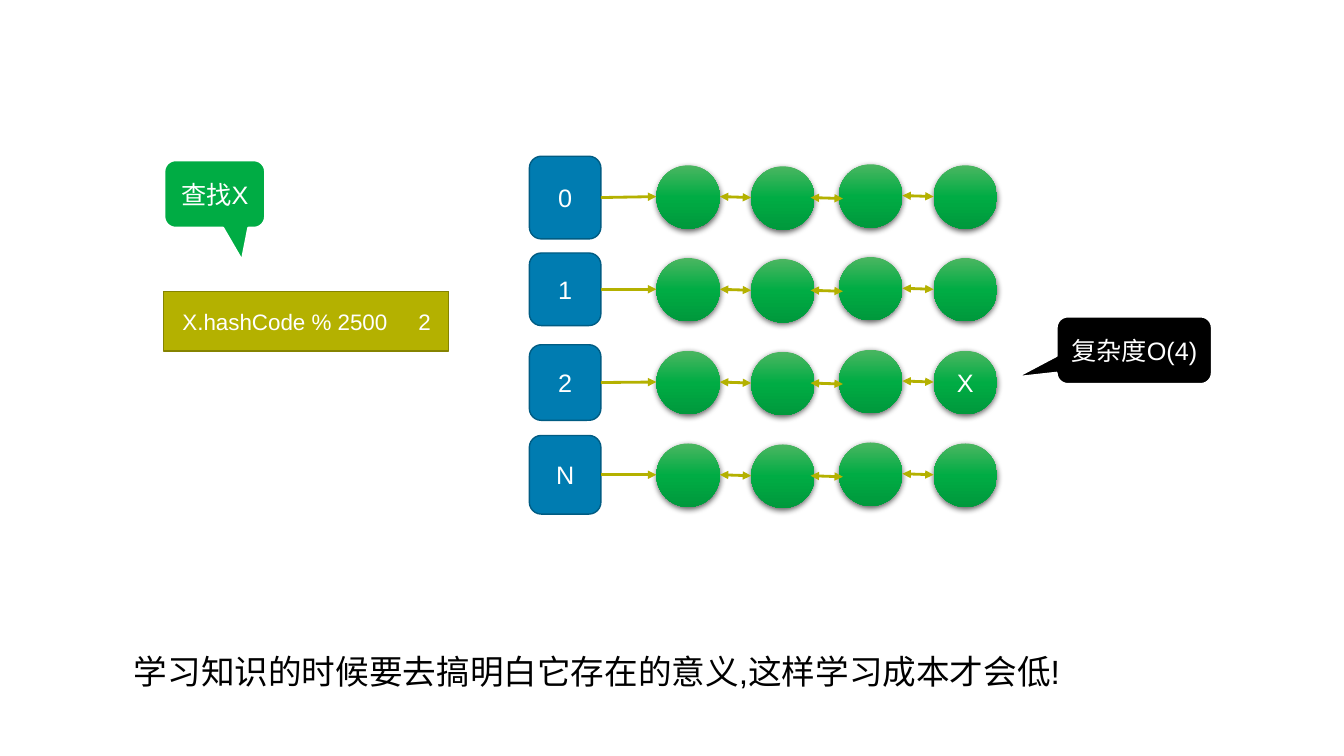
from lxml.etree import SubElement
from pptx import Presentation
from pptx.dml.color import RGBColor
from pptx.enum.shapes import MSO_CONNECTOR, MSO_SHAPE
from pptx.enum.text import MSO_ANCHOR, PP_ALIGN
from pptx.oxml.ns import qn
from pptx.util import Pt

SCALE = 9144
COLORS = {
    "blue": "007CB1", "blue_edge": "005C83", "olive": "B4B100", "olive_edge": "858300",
    "green": "00AC44", "green_top": "4BB661", "green_bottom": "00993C",
    "white": "FFFFFF", "black": "000000",
}
ROW_PITCH = 92
CIRCLE = 63
NODE_OFFSETS = [(0, 0), (94, 1), (181, -1), (275, 0)]
BUCKETS = [("0", 155, 82), ("1", 251, 72), ("2", 342, 75), ("N", 432, 78)]


def px(*lengths):
    """Turn px lengths into EMU."""
    return [round(length * SCALE) for length in lengths]


def color(name):
    """Look up a named colour."""
    return RGBColor.from_string(COLORS[name])


def write(shape, text, size=18, ink="white", align=PP_ALIGN.CENTER, spacing=None):
    """Put one formatted paragraph into a shape."""
    para = shape.text_frame.paragraphs[0]
    para.alignment = align
    para.line_spacing = spacing
    span = para.add_run()
    span.text = text
    span.font.size = Pt(size)
    span.font.name = "Arial"
    span.font.color.rgb = color(ink)
    return para


def add_block(page, kind, box, fill, edge, weight=1):
    """Add a flat outlined shape with middle-anchored text."""
    shape = page.shapes.add_shape(kind, *px(*box))
    shape.shadow.inherit = False
    shape.fill.solid()
    shape.fill.fore_color.rgb = color(fill)
    shape.line.color.rgb = color(edge)
    shape.line.width = Pt(weight)
    shape.text_frame.vertical_anchor = MSO_ANCHOR.MIDDLE
    return shape


def add_arrow(page, start, end, ends=("headEnd", "tailEnd")):
    """Add an olive connector with triangles at the given ends."""
    arrow = page.shapes.add_connector(MSO_CONNECTOR.STRAIGHT, *px(*start, *end))
    arrow.line.color.rgb = color("olive")
    arrow.line.width = Pt(2)
    properties = arrow._element.spPr
    for name in ends:
        SubElement(properties.find(qn("a:ln")), qn(f"a:{name}"), type="triangle")
    SubElement(properties, qn("a:effectLst"))
    return arrow


def add_node(page, left, top):
    """Add a shaded green list node with a soft shadow."""
    node = page.shapes.add_shape(MSO_SHAPE.OVAL, *px(left, top, CIRCLE, CIRCLE))
    node.line.fill.background()
    node.fill.gradient()
    node.fill.gradient_angle = 270
    properties = node._element.spPr
    stops = properties.find(qn("a:gradFill")).find(qn("a:gsLst"))
    for stop in list(stops):
        stops.remove(stop)
    for place, name in enumerate(("green_top", "green", "green_bottom")):
        stop = SubElement(stops, qn("a:gs"), pos=str(place * 50000))
        SubElement(stop, qn("a:srgbClr"), val=COLORS[name])
    effects = SubElement(properties, qn("a:effectLst"))
    shadow = SubElement(effects, qn("a:outerShdw"), blurRad=str(Pt(4.5)),
                        dist=str(Pt(1.5)), dir="5400000", rotWithShape="0")
    shade = SubElement(shadow, qn("a:srgbClr"), val=COLORS["black"])
    SubElement(shade, qn("a:alpha"), val="63000")
    node.text_frame.vertical_anchor = MSO_ANCHOR.MIDDLE
    return node


def add_chain(page, left, top):
    """Add four linked nodes and return the last one."""
    nodes = [add_node(page, left + across, top + down) for across, down in NODE_OFFSETS]
    middle = top + CIRCLE // 2
    for first, second in ((0, 1), (2, 3)):
        (start, rise), (end, fall) = NODE_OFFSETS[first], NODE_OFFSETS[second]
        add_arrow(page, (left + start + CIRCLE, middle + rise), (left + end, middle + fall))
    add_arrow(page, (left + 153, middle + 1), (left + 185, middle + 2))
    return nodes[-1]


def add_hash_table(page, left, top):
    """Add the buckets, each leading to its chain of nodes."""
    chain_left = left + 126
    for row, (label, bucket_top, height) in enumerate(BUCKETS):
        chain_top = top + 9 + row * ROW_PITCH
        last = add_chain(page, chain_left, chain_top)
        if label == "2":
            write(last, "X")
        bucket = add_block(page, MSO_SHAPE.FLOWCHART_ALTERNATE_PROCESS,
                           (left, bucket_top, 71, height), "blue", "blue_edge")
        write(bucket, label)
        middle = chain_top + CIRCLE // 2
        arrow = add_arrow(page, (left + 71, middle), (chain_left, middle), ("tailEnd",))
        arrow.begin_connect(bucket, 3)


def add_callout(page, box, text, fill, tip):
    """Add a rounded callout whose tip is given relative to its box."""
    callout = add_block(page, MSO_SHAPE.ROUNDED_RECTANGULAR_CALLOUT, box, fill, "white", 1.5)
    callout.adjustments[0], callout.adjustments[1] = tip
    write(callout, text)


def add_formula(page, box):
    """Add the hash formula with its result at a tab stop."""
    formula = add_block(page, MSO_SHAPE.FLOWCHART_PROCESS, box, "olive", "olive_edge")
    formula.text_frame.margin_left, formula.text_frame.margin_right = px(19, 0)
    para = write(formula, "X.hashCode % 2500\t2", size=16, align=PP_ALIGN.LEFT)
    tabs = SubElement(para._p.get_or_add_pPr(), qn("a:tabLst"))
    SubElement(tabs, qn("a:tab"), pos=str(px(234)[0]), algn="l")


def add_conclusion(page, box):
    """Add the closing sentence."""
    sentence = page.shapes.add_textbox(*px(*box))
    sentence.text_frame.word_wrap = False
    write(sentence, "学习知识的时候要去搞明白它存在的意义,这样学习成本才会低!",
          size=24, ink="black", align=PP_ALIGN.LEFT, spacing=0.9)


def main():
    """Build the slide and save it."""
    deck = Presentation()
    deck.slide_width, deck.slide_height = px(1333, 750)
    page = deck.slides.add_slide(deck.slide_layouts[6])
    add_hash_table(page, 525, 155)
    add_callout(page, (163, 159, 100, 67), "查找X", "green", (0.27, 0.98))
    add_formula(page, (162, 289, 283, 59))
    add_callout(page, (1048, 314, 154, 67), "复杂度O(4)", "black", (-0.76, 0.4))
    add_conclusion(page, (123, 645, 951, 46))
    deck.save("out.pptx")


if __name__ == "__main__":
    main()
